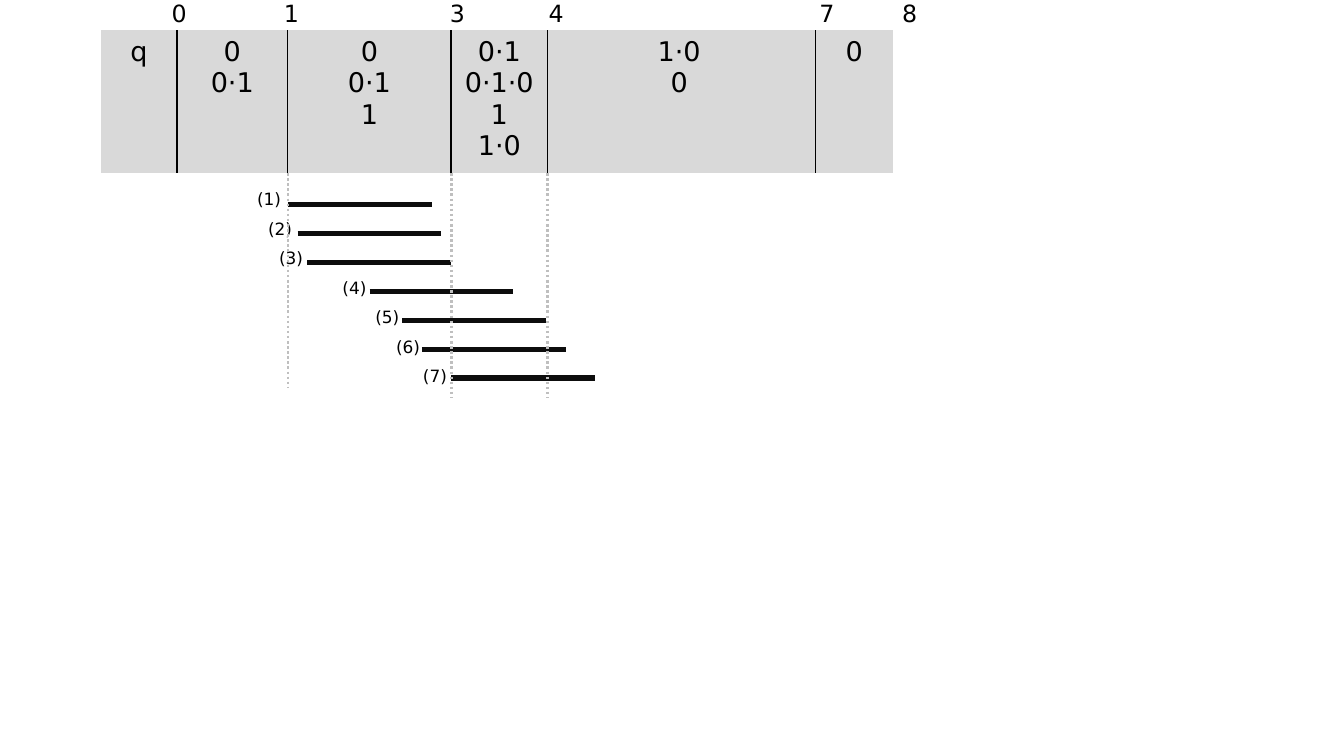
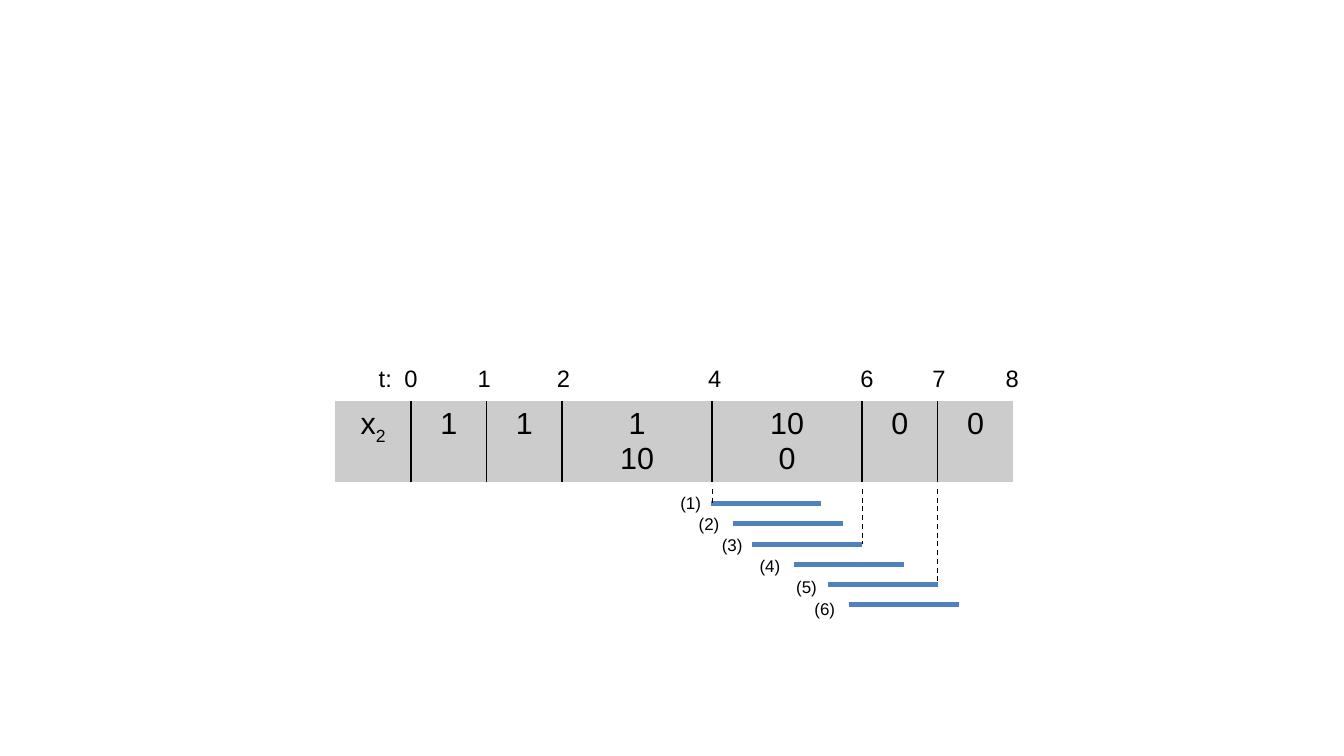
from itertools import accumulate

from lxml import etree
from pptx import Presentation
from pptx.dml.color import RGBColor
from pptx.enum.dml import MSO_LINE
from pptx.enum.shapes import MSO_CONNECTOR
from pptx.enum.text import MSO_ANCHOR, PP_ALIGN
from pptx.oxml.ns import qn
from pptx.util import Inches, Pt

BLACK = RGBColor(0x00, 0x00, 0x00)
INK = RGBColor(0x0D, 0x0D, 0x0D)
BLUE = RGBColor(0x4F, 0x81, 0xBD)
LIGHT_GREY = RGBColor(0xD9, 0xD9, 0xD9)
MID_GREY = RGBColor(0xCC, 0xCC, 0xCC)
GUIDE_GREY = RGBColor(0xBF, 0xBF, 0xBF)

AXIS_SIZE, MARK_SIZE, BAR_WEIGHT = 14, 10, 3
TICK_W, TICK_H = 0.5, 0.3


class Timeline:
    def __init__(self, deck, font, cell_size, cell_fill, bar_color):
        self.slide = deck.slides.add_slide(deck.slide_layouts[6])
        self.font = font
        self.cell_size = cell_size
        self.cell_fill = cell_fill
        self.bar_color = bar_color

    def style_run(self, run, size):
        run.font.name = self.font
        run.font.size = Pt(size)
        run.font.color.rgb = BLACK

    def text_frame(self, left, top, width, height):
        frame = self.slide.shapes.add_textbox(
            Inches(left), Inches(top), Inches(width), Inches(height)).text_frame
        frame.word_wrap = True
        return frame

    def axis(self, ticks, center_y):
        for text, center_x in ticks:
            frame = self.text_frame(center_x - TICK_W / 2, center_y - TICK_H / 2,
                                    TICK_W, TICK_H)
            frame.margin_left = frame.margin_right = 0
            frame.margin_top = frame.margin_bottom = 0
            frame.vertical_anchor = MSO_ANCHOR.MIDDLE
            frame.text = text
            frame.paragraphs[0].alignment = PP_ALIGN.CENTER
            self.style_run(frame.paragraphs[0].runs[0], AXIS_SIZE)

    def marks(self, left, top, width, height, indents, gap):
        frame = self.text_frame(left, top, width, height)
        frame.text = "\n".join(f"({number + 1})" for number in range(len(indents)))
        for paragraph, indent in zip(frame.paragraphs, indents):
            paragraph.space_after = Pt(gap)
            paragraph._p.get_or_add_pPr().set("marL", str(Inches(indent)))
            self.style_run(paragraph.runs[0], MARK_SIZE)

    def line(self, start, end, color, weight, dash=None):
        points = [Inches(value) for value in (*start, *end)]
        connector = self.slide.shapes.add_connector(MSO_CONNECTOR.STRAIGHT, *points)
        connector.line.color.rgb = color
        connector.line.width = Pt(weight)
        if dash:
            connector.line.dash_style = dash
        etree.SubElement(connector._element.spPr, qn("a:effectLst"))

    def border(self, cell, side, visible):
        edge = etree.SubElement(cell._tc.get_or_add_tcPr(), qn(f"a:ln{side}"))
        if visible:
            edge.set("w", str(Pt(1)))
            fill = etree.SubElement(edge, qn("a:solidFill"))
            etree.SubElement(fill, qn("a:srgbClr")).set("val", str(BLACK))
        else:
            etree.SubElement(edge, qn("a:noFill"))

    def state_row(self, left, top, height, widths, states, dividers, subscript=""):
        table = self.slide.shapes.add_table(
            1, len(widths), Inches(left), Inches(top),
            Inches(sum(widths)), Inches(height)).table
        table.first_row = table.horz_banding = False
        for index, (width, state) in enumerate(zip(widths, states)):
            table.columns[index].width = Inches(width)
            cell = table.cell(0, index)
            cell.text_frame.text = state
            if index == 0 and subscript:
                lowered = cell.text_frame.paragraphs[0].add_run()
                lowered.text = subscript
                lowered.font._element.set("baseline", "-25000")
            for paragraph in cell.text_frame.paragraphs:
                paragraph.alignment = PP_ALIGN.CENTER
                for run in paragraph.runs:
                    self.style_run(run, self.cell_size)
            for side, visible in (("L", index in dividers), ("R", index + 1 in dividers),
                                  ("T", False), ("B", False)):
                self.border(cell, side, visible)
            cell.fill.solid()
            cell.fill.fore_color.rgb = self.cell_fill
        return list(accumulate(widths, initial=left))

    def windows(self, starts, length, top, bottom):
        step = (bottom - top) / (len(starts) - 1)
        for index, start in enumerate(starts):
            y = top + index * step
            self.line((start, y), (start + length, y), self.bar_color, BAR_WEIGHT)

    def guides(self, top, ends, color, weight, dash):
        for x, bottom in ends:
            self.line((x, top), (x, bottom), color, weight, dash)


deck = Presentation()
deck.slide_width, deck.slide_height = Inches(11.02), Inches(6.2)

signal_q = Timeline(deck, "DejaVu Sans", 16, LIGHT_GREY, INK)
signal_q.marks(1.97, 1.5, 4.17, 1.84,
               [0.04, 0.13, 0.22, 0.74, 1.01, 1.18, 1.4], gap=5.4)
edges = signal_q.state_row(
    0.83, 0.25, 1.13, [0.62, 0.91, 1.34, 0.79, 0.71, 0.74, 0.75, 0.63],
    ["q", "0\n0⋅1", "0\n0⋅1\n1", "0⋅1\n0⋅1⋅0\n1\n1⋅0", "", "1⋅0\n0", "", "0"],
    dividers={1, 2, 3, 4, 7})
signal_q.axis([("0", 1.47), ("1", 2.39), ("3", 3.75), ("4", 4.56),
               ("7", 6.78), ("8", 7.46)], 0.11)
signal_q.windows([2.36, 2.44, 2.52, 3.03, 3.3, 3.46, 3.7], 1.18, 1.68, 3.1)
signal_q.guides(1.42, zip(edges[2:5], [3.18, 3.26, 3.26]),
                GUIDE_GREY, 1.5, MSO_LINE.ROUND_DOT)

signal_x = Timeline(deck, "Arial", 18, MID_GREY, BLUE)
edges = signal_x.state_row(
    2.75, 3.29, 0.66, [0.62] * 3 + [1.23] * 2 + [0.62] * 2,
    ["x", "1", "1", "1\n10", "10\n0", "0", "0"],
    dividers=range(1, 7), subscript="2")
signal_x.axis([("t:", 3.16), ("0", 3.37), ("1", 3.97), ("2", 4.62), ("4", 5.86),
               ("6", 7.11), ("7", 7.7), ("8", 8.3)], 3.1)
signal_x.windows([5.83, 6.01, 6.17, 6.51, 6.79, 6.96], 0.9, 4.13, 4.96)
signal_x.guides(4.01, zip(edges[4:7], [4.13, 4.46, 4.79]),
                BLACK, 0.75, MSO_LINE.DASH)
signal_x.marks(5.44, 3.99, 1.8, 1.28,
               [0.04, 0.19, 0.38, 0.69, 0.99, 1.14], gap=0.45)

deck.save("out.pptx")
